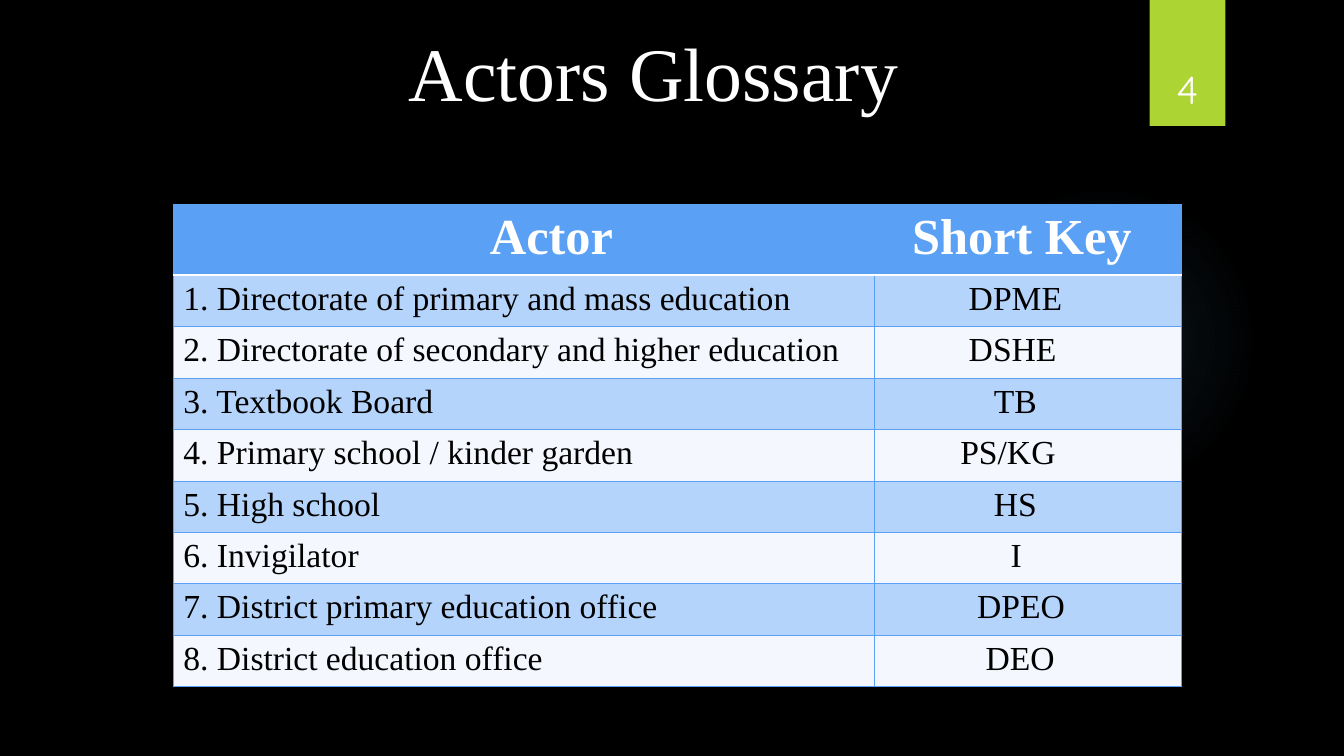
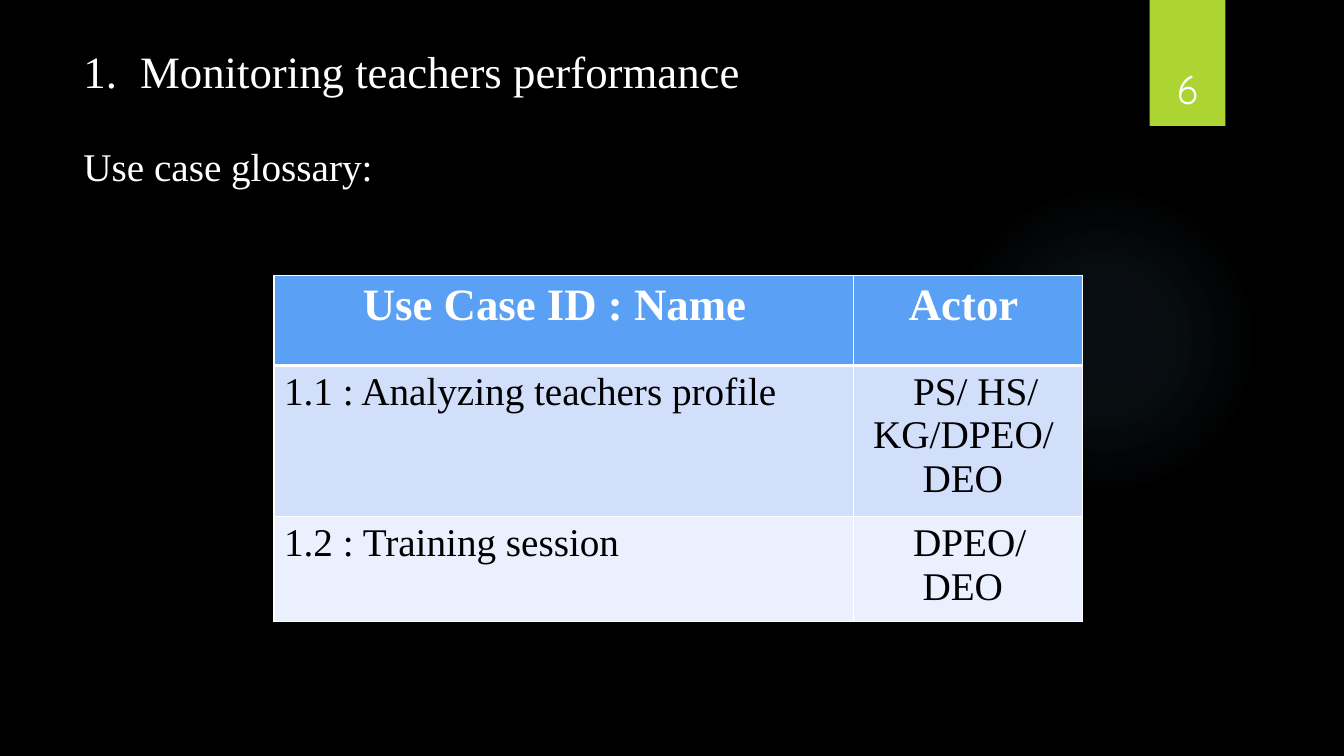
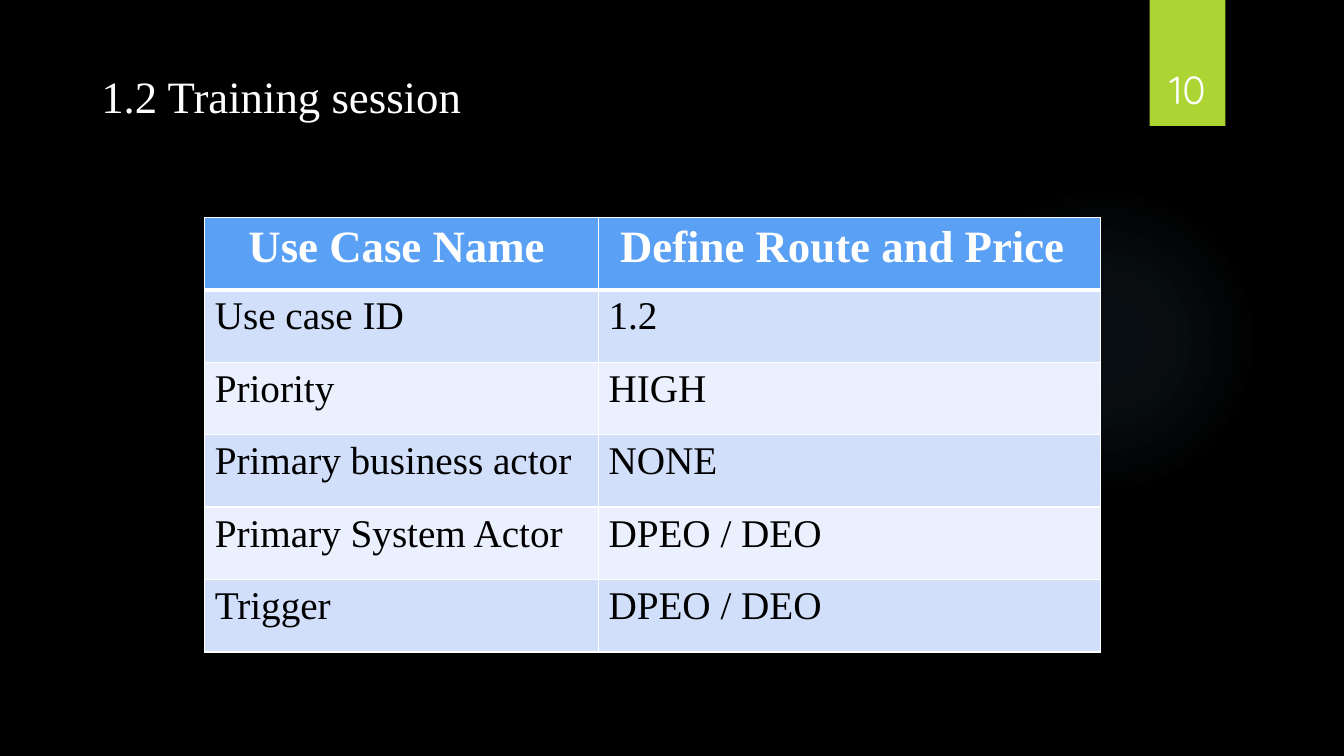
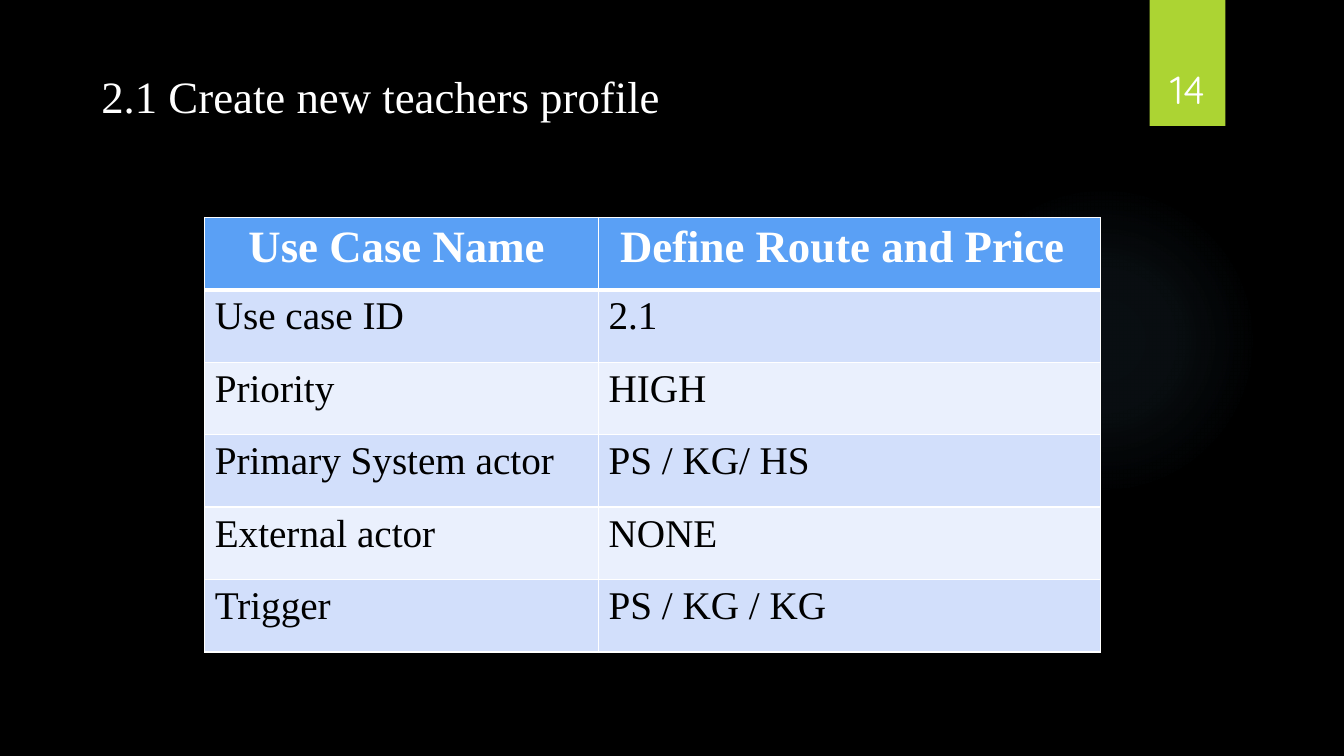
from dataclasses import dataclass

import lxml.etree
import pptx
import pptx.dml.color
import pptx.enum.shapes
import pptx.enum.text
import pptx.oxml.ns
import pptx.presentation
import pptx.shapes.autoshape
import pptx.slide
import pptx.table
import pptx.text.text
import pptx.util

EMU_PER_PX = 9525
SERIF = "Times New Roman"
ROUND = "Quicksand"
BLACK = "000000"
WHITE = "FFFFFF"
GREEN = "ACD433"
BLUE = "5AA0F5"
GLOW = "7AC4F0"


@dataclass(frozen=True)
class Box:
    left: int
    top: int
    width: int
    height: int


@dataclass(frozen=True)
class Line:
    text: str
    size: int
    indent: int = 0
    space_before: int = 0
    numbered: bool = False


@dataclass(frozen=True)
class Border:
    color: str
    width: float


@dataclass(frozen=True)
class TableStyle:
    header_size: int
    body_size: int
    bands: tuple[str, str]
    grid: Border
    header_rule: Border


@dataclass(frozen=True)
class Cell:
    lines: tuple[tuple[str, int], ...]


@dataclass(frozen=True)
class Grid:
    left: int
    top: int
    columns: tuple[int, ...]
    heights: tuple[int, ...]
    style: TableStyle
    rows: tuple[tuple[Cell, ...], ...]


@dataclass(frozen=True)
class Page:
    number: int
    title_box: Box
    title: tuple[Line, ...]
    grid: Grid


NUMBER_BOX = Box(1087, 31, 88, 81)
BAND_BOX = Box(1095, 0, 72, 120)
GLOW_BOX = Box(903, 176, 296, 296)
GLOW_STOPS = ((0, 7), (36, 6), (69, 0))

LINED = TableStyle(36, 24, ("B5D4FB", "F4F7FE"), Border(BLUE, 0.75), Border(WHITE, 1.5))
BANDED = TableStyle(32, 28, ("D2DFFB", "EAF0FD"), Border(WHITE, 1), Border(WHITE, 3))


def cell(text: str, indent: int = 0) -> Cell:
    return Cell(((text, indent),))


ACTORS = (
    ("Directorate of primary and mass education", "DPME", 80),
    ("Directorate of secondary and higher education", "DSHE", 80),
    ("Textbook Board", "TB", 104),
    ("Primary school / kinder garden", "PS/KG", 72),
    ("High school", "HS", 104),
    ("Invigilator", "I", 120),
    ("District primary education office", "DPEO", 88),
    ("District education office", "DEO", 96),
)


def actors_page() -> Page:
    header = (cell("Actor", 292), cell("Short Key", 26))
    body = tuple(
        (cell(f"{position}. {name}"), cell(key, indent))
        for position, (name, key, indent) in enumerate(ACTORS, 1)
    )
    grid = Grid(165, 195, (668, 292), (67,) + (49,) * len(body), LINED, (header,) + body)
    return Page(4, Box(380, 20, 756, 97), (Line("Actors Glossary", 54),), grid)


def glossary_page() -> Page:
    title = (
        Line("Monitoring teachers performance", 32, indent=54, numbered=True),
        Line("Use case glossary:", 28, space_before=32),
    )
    rows = (
        (cell("Use Case ID : Name", 75), cell("Actor", 43)),
        (
            cell("1.1 : Analyzing teachers profile"),
            Cell((("PS/ HS/", 47), ("KG/DPEO/", 9), ("DEO", 56))),
        ),
        (cell("1.2 : Training session"), Cell((("DPEO/", 47), ("DEO", 56)))),
    )
    grid = Grid(261, 262, (552, 218), (86, 144, 100), BANDED, rows)
    return Page(6, Box(70, 37, 946, 152), title, grid)


def use_case_page(number: int, title: str, facts: tuple[tuple[str, str], ...]) -> Page:
    header = (cell("Use Case Name", 32), cell("Define Route and Price", 11))
    body = tuple((cell(name), cell(value)) for name, value in facts)
    rows = (header,) + body
    grid = Grid(195, 207, (375, 478), (69,) * len(rows), BANDED, rows)
    return Page(number, Box(87, 61, 927, 61), (Line(title, 32),), grid)


PAGES = (
    actors_page(),
    glossary_page(),
    use_case_page(
        10,
        "1.2 Training session",
        (
            ("Use case ID", "1.2"),
            ("Priority", "HIGH"),
            ("Primary business actor", "NONE"),
            ("Primary System Actor", "DPEO / DEO"),
            ("Trigger", "DPEO / DEO"),
        ),
    ),
    use_case_page(
        14,
        "2.1 Create new teachers profile",
        (
            ("Use case ID", "2.1"),
            ("Priority", "HIGH"),
            ("Primary System actor", "PS / KG/ HS"),
            ("External actor", "NONE"),
            ("Trigger", "PS / KG / KG"),
        ),
    ),
)


def px(value: int) -> pptx.util.Emu:
    return pptx.util.Emu(value * EMU_PER_PX)


def rgb(color: str) -> pptx.dml.color.RGBColor:
    return pptx.dml.color.RGBColor.from_string(color)


def frame(box: Box) -> tuple[pptx.util.Emu, ...]:
    return px(box.left), px(box.top), px(box.width), px(box.height)


def add_element(
    parent: lxml.etree.ElementBase, tag: str, **attributes: object
) -> lxml.etree.ElementBase:
    values = {name: str(value) for name, value in attributes.items()}
    return lxml.etree.SubElement(parent, pptx.oxml.ns.qn(f"a:{tag}"), values)


def set_font(
    paragraph: pptx.text.text._Paragraph,
    size: int,
    color: str,
    name: str = SERIF,
    bold: bool = False,
) -> None:
    font = paragraph.font
    font.name = name
    font.size = pptx.util.Pt(size)
    font.bold = bold
    font.color.rgb = rgb(color)


def add_paragraph(
    text_frame: pptx.text.text.TextFrame, position: int, text: str
) -> pptx.text.text._Paragraph:
    paragraph = text_frame.add_paragraph() if position else text_frame.paragraphs[0]
    paragraph.text = text
    return paragraph


def indent_paragraph(
    paragraph: pptx.text.text._Paragraph, left: int, first: int = 0
) -> lxml.etree.ElementBase:
    properties = paragraph._p.get_or_add_pPr()
    properties.set("marL", str(px(left)))
    properties.set("indent", str(px(first)))
    return properties


def add_plain_shape(
    slide: pptx.slide.Slide, kind: pptx.enum.shapes.MSO_SHAPE, box: Box
) -> pptx.shapes.autoshape.Shape:
    shape = slide.shapes.add_shape(kind, *frame(box))
    shape.shadow.inherit = False
    shape.line.fill.background()
    return shape


def fill_with_glow(shape: pptx.shapes.autoshape.Shape) -> None:
    shape.fill.background()
    properties = shape.element.spPr
    empty_fill = properties.find(pptx.oxml.ns.qn("a:noFill"))
    gradient = lxml.etree.Element(pptx.oxml.ns.qn("a:gradFill"), rotWithShape="1")
    stops = add_element(gradient, "gsLst")
    for position, opacity in GLOW_STOPS:
        stop = add_element(stops, "gs", pos=position * 1000)
        color = add_element(stop, "srgbClr", val=GLOW)
        add_element(color, "alpha", val=opacity * 1000)
    circle = add_element(gradient, "path", path="circle")
    add_element(circle, "fillToRect", l=50000, t=50000, r=50000, b=50000)
    properties.replace(empty_fill, gradient)


def decorate_master(
    presentation: pptx.presentation.Presentation, slide: pptx.slide.Slide
) -> None:
    master = presentation.slide_master
    master.background.fill.solid()
    master.background.fill.fore_color.rgb = rgb(BLACK)
    glow = add_plain_shape(slide, pptx.enum.shapes.MSO_SHAPE.OVAL, GLOW_BOX)
    fill_with_glow(glow)
    band = add_plain_shape(slide, pptx.enum.shapes.MSO_SHAPE.RECTANGLE, BAND_BOX)
    band.fill.solid()
    band.fill.fore_color.rgb = rgb(GREEN)
    for identifier, shape in enumerate((glow, band), 101):
        shape.element.nvSpPr.cNvPr.set("id", str(identifier))
        master.shapes.element.append(shape.element)


def add_title(slide: pptx.slide.Slide, box: Box, lines: tuple[Line, ...]) -> None:
    text_frame = slide.shapes.add_textbox(*frame(box)).text_frame
    text_frame.word_wrap = True
    for position, line in enumerate(lines):
        paragraph = add_paragraph(text_frame, position, line.text)
        if line.space_before:
            paragraph.space_before = pptx.util.Pt(line.space_before)
        if line.numbered:
            properties = indent_paragraph(paragraph, line.indent, -line.indent)
            add_element(properties, "buAutoNum", type="arabicPeriod")
        set_font(paragraph, line.size, WHITE)


def add_number(slide: pptx.slide.Slide, number: int) -> None:
    text_frame = slide.shapes.add_textbox(*frame(NUMBER_BOX)).text_frame
    text_frame.word_wrap = True
    text_frame.vertical_anchor = pptx.enum.text.MSO_ANCHOR.BOTTOM
    paragraph = add_paragraph(text_frame, 0, str(number))
    paragraph.alignment = pptx.enum.text.PP_ALIGN.CENTER
    set_font(paragraph, 28, WHITE, ROUND)


def set_borders(target: pptx.table._Cell, row: int, style: TableStyle) -> None:
    top = style.header_rule if row == 1 else style.grid
    bottom = style.header_rule if row == 0 else style.grid
    sides = {"lnL": style.grid, "lnR": style.grid, "lnT": top, "lnB": bottom}
    properties = target._tc.get_or_add_tcPr()
    for tag, border in sides.items():
        line = add_element(properties, tag, w=pptx.util.Pt(border.width))
        add_element(add_element(line, "solidFill"), "srgbClr", val=border.color)


def fill_cell(target: pptx.table._Cell, content: Cell, row: int, style: TableStyle) -> None:
    header = row == 0
    set_borders(target, row, style)
    target.fill.solid()
    target.fill.fore_color.rgb = rgb(BLUE if header else style.bands[(row - 1) % 2])
    size = style.header_size if header else style.body_size
    for position, (text, indent) in enumerate(content.lines):
        paragraph = add_paragraph(target.text_frame, position, text)
        if indent:
            indent_paragraph(paragraph, indent)
        set_font(paragraph, size, WHITE if header else BLACK, bold=header)


def add_grid(slide: pptx.slide.Slide, grid: Grid) -> None:
    box = Box(grid.left, grid.top, sum(grid.columns), sum(grid.heights))
    table = slide.shapes.add_table(len(grid.rows), len(grid.columns), *frame(box)).table
    table.horz_banding = False
    for column, width in zip(table.columns, grid.columns):
        column.width = px(width)
    for row, (height, contents) in enumerate(zip(grid.heights, grid.rows)):
        table.rows[row].height = px(height)
        for column, content in enumerate(contents):
            fill_cell(table.cell(row, column), content, row, grid.style)


def main() -> None:
    presentation = pptx.Presentation()
    presentation.slide_width = px(1280)
    presentation.slide_height = px(720)
    blank = presentation.slide_layouts[6]
    for position, page in enumerate(PAGES):
        slide = presentation.slides.add_slide(blank)
        if position == 0:
            decorate_master(presentation, slide)
        add_title(slide, page.title_box, page.title)
        add_grid(slide, page.grid)
        add_number(slide, page.number)
    presentation.save("out.pptx")


if __name__ == "__main__":
    main()
